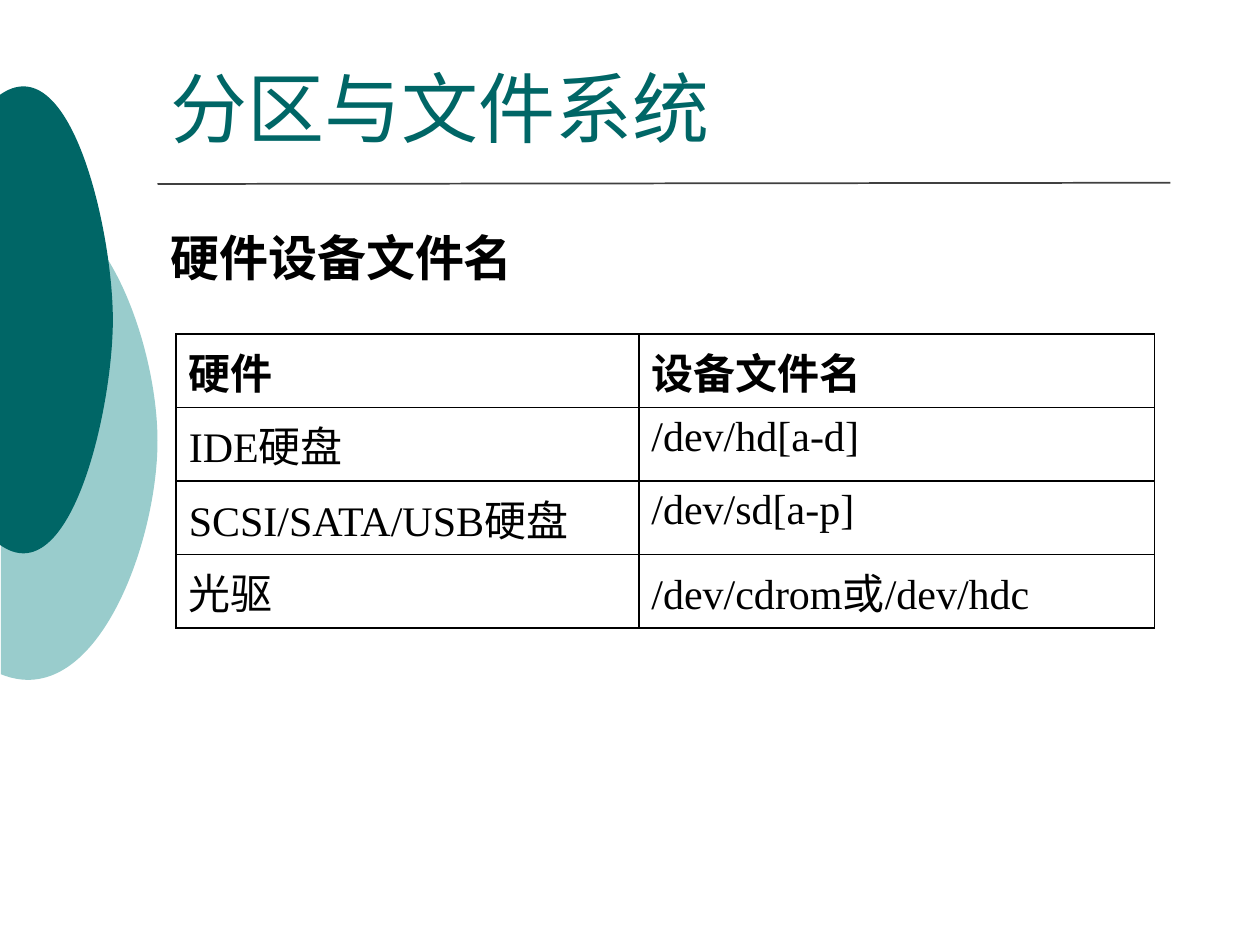
from math import acos, cos, sin, tan

from lxml.etree import SubElement
from pptx import Presentation
from pptx.dml.color import RGBColor
from pptx.enum.shapes import MSO_CONNECTOR
from pptx.enum.text import MSO_ANCHOR, PP_ALIGN
from pptx.oxml.ns import qn
from pptx.util import Pt

TEAL, PALE_TEAL, RULE_GREY, BLACK = "006666", "99CCCC", "404040", "000000"
HEADING_FONT, BODY_FONT = "Calibri", "Times New Roman"
DEVICES = [
    ("硬件", "设备文件名"),
    ("IDE硬盘", "/dev/hd[a-d]"),
    ("SCSI/SATA/USB硬盘", "/dev/sd[a-p]"),
    ("光驱", "/dev/cdrom或/dev/hdc"),
]


def colour(code):
    return RGBColor.from_string(code)


def add_text(paragraph, wording, size, font, code, bold=False):
    run = paragraph.add_run()
    run.text = wording
    run.font.size = Pt(size)
    run.font.name = font
    run.font.bold = bold
    run.font.color.rgb = colour(code)


def place(shape, left, top, width, height):
    shape.left, shape.top = Pt(left), Pt(top)
    shape.width, shape.height = Pt(width), Pt(height)


def add_command(outline, tag, *points):
    command = SubElement(outline, qn(tag))
    for x, y in points:
        SubElement(command, qn("a:pt"), x=str(Pt(x)), y=str(Pt(y)))


def add_cut_circle(slide, left, top, diameter, cut_x, code):
    """Draw the part of a circle right of cut_x, as two equal Bezier arcs."""
    radius = diameter / 2
    angle = acos((cut_x - left - radius) / radius)
    handle = radius * 4 / 3 * tan(angle / 4)
    chord_x, rise = radius + radius * cos(angle), radius * sin(angle)
    upper, lower = (chord_x, radius - rise), (chord_x, radius + rise)
    reach_x, reach_y = chord_x + handle * sin(angle), rise + handle * cos(angle)

    builder = slide.shapes.build_freeform(0, 0, scale=1.0)
    builder.add_line_segments([(Pt(diameter), Pt(radius)), (0, Pt(diameter))])
    segment = builder.convert_to_shape()
    place(segment, left, top, diameter, diameter)
    outline = segment._element.spPr.find(".//" + qn("a:path"))
    outline.clear()
    outline.set("w", str(Pt(diameter)))
    outline.set("h", str(Pt(diameter)))
    add_command(outline, "a:moveTo", upper)
    add_command(outline, "a:cubicBezTo", (reach_x, radius - reach_y),
                (diameter, radius - handle), (diameter, radius))
    add_command(outline, "a:cubicBezTo", (diameter, radius + handle),
                (reach_x, radius + reach_y), lower)
    add_command(outline, "a:close")

    segment.shadow.inherit = False
    segment.fill.solid()
    segment.fill.fore_color.rgb = colour(code)
    segment.line.fill.background()


def add_decoration(slide):
    add_cut_circle(slide, -198, 108, 288, 0.5, PALE_TEAL)
    add_cut_circle(slide, -253.5, 23.8, 318, -0.5, TEAL)


def add_heading(slide, left, top, width, height):
    """Fill the title and draw the rule below it."""
    title = slide.shapes.title
    place(title, left, top, width, height)
    title.text_frame.vertical_anchor = MSO_ANCHOR.MIDDLE
    paragraph = title.text_frame.paragraphs[0]
    paragraph.alignment = PP_ALIGN.LEFT
    paragraph.line_spacing = 0.9
    add_text(paragraph, "分区与文件系统", 44, HEADING_FONT, TEAL)

    rule_y = top + height - 11.5
    rule = slide.shapes.add_connector(
        MSO_CONNECTOR.STRAIGHT, Pt(left), Pt(rule_y), Pt(left + width - 1.5), Pt(rule_y - 0.7))
    rule.line.color.rgb = colour(RULE_GREY)
    rule.line.width = Pt(1)
    SubElement(rule._element.spPr, qn("a:effectLst"))


def add_subheading(slide, left, top, width, height):
    subheading = slide.shapes.add_textbox(Pt(left), Pt(top), Pt(width), Pt(height))
    subheading.text_frame.word_wrap = True
    paragraph = subheading.text_frame.paragraphs[0]
    paragraph.alignment = PP_ALIGN.JUSTIFY
    paragraph.line_spacing = 0.9
    paragraph.space_before = Pt(10)
    add_text(paragraph, "硬件设备文件名", 28, HEADING_FONT, BLACK, bold=True)


def add_borders(cell):
    properties = cell._tc.get_or_add_tcPr()
    for position, side in enumerate(("a:lnL", "a:lnR", "a:lnT", "a:lnB")):
        border = SubElement(properties, qn(side), w=str(Pt(1)))
        properties.insert(position, border)
        fill = SubElement(border, qn("a:solidFill"))
        SubElement(fill, qn("a:srgbClr"), val=BLACK)


def add_device_table(slide, left, top, column_widths, row_height):
    frame = slide.shapes.add_table(
        len(DEVICES), len(column_widths), Pt(left), Pt(top),
        Pt(sum(column_widths)), Pt(row_height * len(DEVICES)))
    table = frame.table
    table.first_row = table.horz_banding = False
    for column, width in zip(table.columns, column_widths):
        column.width = Pt(width)
    for row_index, entries in enumerate(DEVICES):
        is_header = row_index == 0
        font = HEADING_FONT if is_header else BODY_FONT
        for column_index, wording in enumerate(entries):
            cell = table.cell(row_index, column_index)
            cell.fill.background()
            add_borders(cell)
            add_text(cell.text_frame.paragraphs[0], wording, 24, font, BLACK, is_header)


def main():
    presentation = Presentation()
    presentation.slide_width, presentation.slide_height = Pt(720), Pt(540)
    slide = presentation.slides.add_slide(presentation.slide_layouts[5])
    add_decoration(slide)
    add_heading(slide, 90, 12.24, 580.3, 104.4)
    add_subheading(slide, 90.3, 130.3, 568, 43.2)
    add_device_table(slide, 100.7, 190.9, (264.4, 294.6), 42)
    presentation.save("out.pptx")


if __name__ == "__main__":
    main()
